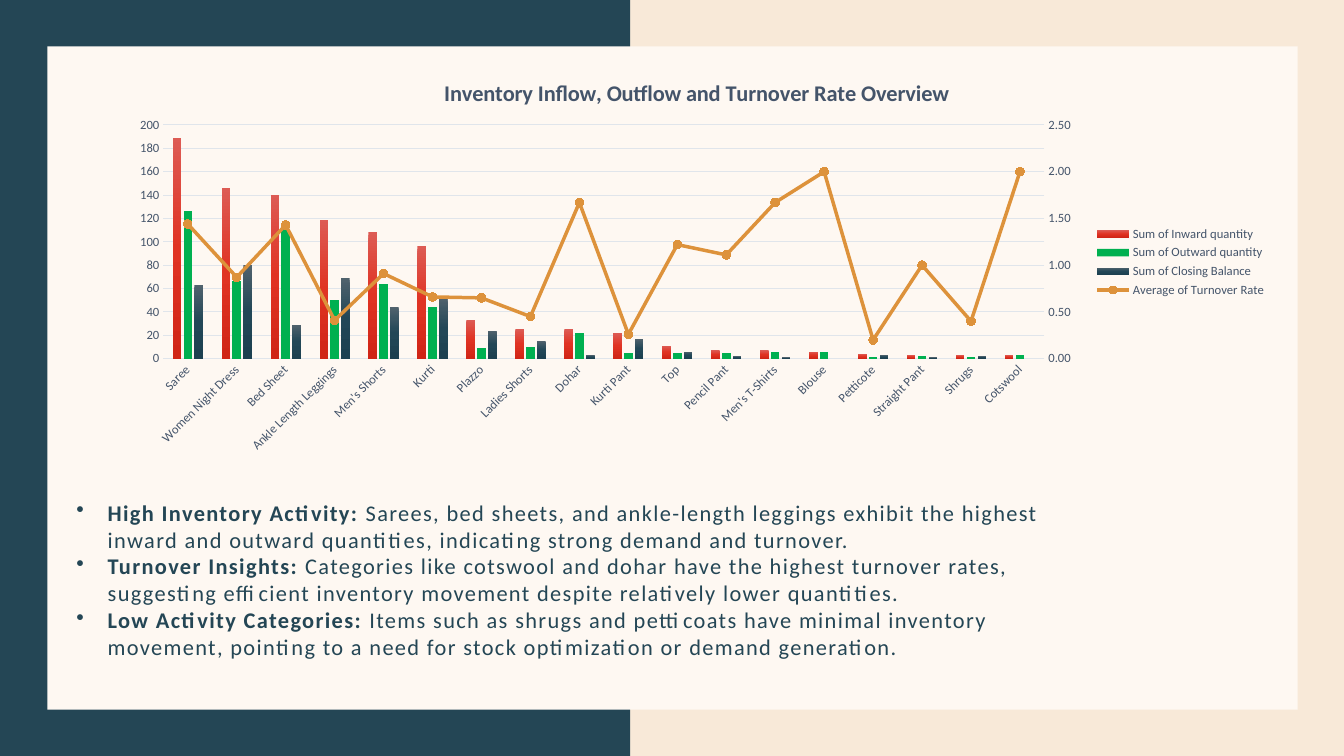
import copy
from dataclasses import dataclass

import pptx
import pptx.chart.axis
import pptx.chart.data
import pptx.dml.color
import pptx.enum.chart
import pptx.enum.shapes
import pptx.enum.text
import pptx.oxml
import pptx.oxml.ns
import pptx.util

Inches = pptx.util.Inches
Pt = pptx.util.Pt
qn = pptx.oxml.ns.qn
rgb = pptx.dml.color.RGBColor.from_string


@dataclass(frozen=True)
class Theme:
    font: str = "Calibri"
    sand: str = "F8E9D8"
    navy: str = "244655"
    cream: str = "FEF8F2"
    slate: str = "44546A"
    grid: str = "E0E5EB"
    inward: tuple = ("DD5B54", "E03323", "D02516")
    outward: tuple = ("00B050",)
    closing: tuple = ("50626D", "224757", "1C4050")
    turnover: str = "DD923B"
    marker: str = "E59333"
    title_size: int = 16
    body_size: int = 16
    label_size: int = 9


theme = Theme()


def style_font(font, size, color, bold=False):
    font.name = theme.font
    font.size = Pt(size)
    font.bold = bold
    font.color.rgb = rgb(color)


categories = [
    "Saree", "Women Night Dress", "Bed Sheet", "Ankle Length Leggings", "Men's Shorts", "Kurti",
    "Plazzo", "Ladies Shorts", "Dohar", "Kurti Pant", "Top", "Pencil Pant", "Men's T-Shirts",
    "Blouse", "Petticote", "Straight Pant", "Shrugs", "Cotswool",
]
quantities = [
    ("Sum of Inward quantity", theme.inward,
     [189, 146, 140, 119, 108, 96, 33, 25, 25, 22, 11, 7, 7, 6, 4, 3, 3, 3]),
    ("Sum of Outward quantity", theme.outward,
     [126, 66, 111, 50, 64, 44, 9, 10, 22, 5, 5, 5, 6, 6, 1, 2, 1, 3]),
    ("Sum of Closing Balance", theme.closing,
     [63, 80, 29, 69, 44, 52, 24, 15, 3, 17, 6, 2, 1, 0, 3, 1, 2, 0]),
]
turnover_rates = [1.44, 0.87, 1.43, 0.41, 0.91, 0.66, 0.65, 0.45, 1.67, 0.26, 1.22, 1.11, 1.67,
                  2, 0.2, 1, 0.4, 2]
insights = [
    ("High Inventory Activity: ",
     "Sarees, bed sheets, and ankle-length leggings exhibit the highest inward and outward "
     "quantities, indicating strong demand and turnover."),
    ("Turnover Insights: ",
     "Categories like cotswool and dohar have the highest turnover rates, suggesting efficient "
     "inventory movement despite relatively lower quantities."),
    ("Low Activity Categories: ",
     "Items such as shrugs and petticoats have minimal inventory movement, pointing to a need "
     "for stock optimization or demand generation."),
]

deck = pptx.Presentation()
deck.slide_width = Inches(13.33)
deck.slide_height = Inches(7.5)
page = deck.slides.add_slide(deck.slide_layouts[6])
page.background.fill.solid()
page.background.fill.fore_color.rgb = rgb(theme.sand)

# Backdrop panels
for left, top, width, height, color in [
    (0, 0, 6.25, 7.5, theme.navy),
    (0.47, 0.46, 12.4, 6.58, theme.cream),
]:
    panel = page.shapes.add_shape(pptx.enum.shapes.MSO_SHAPE.RECTANGLE,
                                  Inches(left), Inches(top), Inches(width), Inches(height))
    panel.shadow.inherit = False
    panel.fill.solid()
    panel.fill.fore_color.rgb = rgb(color)
    panel.line.fill.background()

# Column chart
chart_data = pptx.chart.data.CategoryChartData(number_format="0")
chart_data.categories = categories
for name, _, values in quantities:
    chart_data.add_series(name, values)
chart_data.add_series("Average of Turnover Rate", turnover_rates, number_format="0.00")
chart = page.shapes.add_chart(pptx.enum.chart.XL_CHART_TYPE.COLUMN_CLUSTERED, Inches(1.16),
                              Inches(0.6), Inches(11.5), Inches(4), chart_data).chart
chart.font.name = theme.font
chart.font.size = Pt(10)
chart.has_title = True
title_span = chart.chart_title.text_frame.paragraphs[0].add_run()
title_span.text = "Inventory Inflow, Outflow and Turnover Rate Overview"
style_font(title_span.font, theme.title_size, theme.slate, bold=True)
chart.chart_title.include_in_layout = False
chart.has_legend = True
chart.legend.position = pptx.enum.chart.XL_LEGEND_POSITION.RIGHT
chart.legend.include_in_layout = False
style_font(chart.legend.font, theme.label_size, theme.slate)

columns = chart.plots[0]
columns.gap_width = 219
columns.overlap = -27
columns.vary_by_categories = False
for series, (_, colors, _) in zip(columns.series, quantities):
    series.invert_if_negative = False
    fill = series.format.fill
    if len(colors) == 1:
        fill.solid()
        fill.fore_color.rgb = rgb(colors[0])
        continue
    fill.gradient()
    fill.gradient_angle = 270
    stop_list = next(series._element.iter(qn("a:gsLst")))
    stop_list.append(copy.deepcopy(stop_list[-1]))
    for stop, position, color in zip(fill.gradient_stops, (0, 0.5, 1), colors):
        stop.position = position
        stop.color.rgb = rgb(color)

# Axes
no_tick = pptx.enum.chart.XL_TICK_MARK.NONE
category_axis, quantity_axis = chart.category_axis, chart.value_axis
for axis in (category_axis, quantity_axis):
    axis.major_tick_mark = axis.minor_tick_mark = no_tick
    style_font(axis.tick_labels.font, theme.label_size, theme.slate)
category_axis._element.find(qn("c:txPr")).find(qn("a:bodyPr")).set("rot", "-2700000")
quantity_axis.has_major_gridlines = True
for line in (category_axis.format.line, quantity_axis.major_gridlines.format.line):
    line.color.rgb = rgb(theme.grid)
    line.width = Pt(0.75)
quantity_axis.format.line.fill.background()

# Turnover line on its own axes, derived from the column axes
hidden_element = copy.deepcopy(category_axis._element)
rate_element = copy.deepcopy(quantity_axis._element)
for element, own_id, other_id in [(hidden_element, "5001", "5002"),
                                  (rate_element, "5002", "5001")]:
    element.find(qn("c:axId")).set("val", own_id)
    element.find(qn("c:crossAx")).set("val", other_id)
rate_element.find(qn("c:axPos")).set("val", "r")
rate_element.find(qn("c:crosses")).set("val", "max")
quantity_axis._element.addnext(rate_element)
rate_element.addnext(hidden_element)
pptx.chart.axis.CategoryAxis(hidden_element).visible = False
rate_axis = pptx.chart.axis.ValueAxis(rate_element)
rate_axis.has_major_gridlines = False
for axis, top_value, step, number_format in [(quantity_axis, 200, 20, "0"),
                                             (rate_axis, 2.5, 0.5, "0.00")]:
    axis.minimum_scale = 0
    axis.maximum_scale = top_value
    axis.major_unit = step
    axis.tick_labels.number_format = number_format
    axis.tick_labels.number_format_is_linked = False

namespace = pptx.oxml.ns.nsdecls("c")
line_chart = pptx.oxml.parse_xml(
    f'<c:lineChart {namespace}><c:grouping val="standard"/><c:varyColors val="0"/>'
    '<c:marker val="1"/><c:axId val="5001"/><c:axId val="5002"/></c:lineChart>')
column_chart = columns._element
rate_series = column_chart.findall(qn("c:ser"))[-1]
for column_setting in rate_series.findall(qn("c:invertIfNegative")):
    rate_series.remove(column_setting)
line_chart.insert(2, rate_series)
column_chart.addnext(line_chart)
turnover = chart.plots[1].series[0]
turnover.smooth = False
turnover.format.line.color.rgb = rgb(theme.turnover)
turnover.format.line.width = Pt(2.5)
turnover.marker.style = pptx.enum.chart.XL_MARKER_STYLE.CIRCLE
turnover.marker.size = 6
turnover.marker.format.fill.solid()
turnover.marker.format.fill.fore_color.rgb = rgb(theme.marker)
turnover.marker.format.line.color.rgb = rgb(theme.turnover)

plot_area = column_chart.getparent()
for layout in plot_area.findall(qn("c:layout")):
    plot_area.remove(layout)
plot_area.insert(0, pptx.oxml.parse_xml(
    f'<c:layout {namespace}><c:manualLayout><c:layoutTarget val="inner"/>'
    '<c:xMode val="edge"/><c:yMode val="edge"/><c:x val="0.04"/><c:y val="0.16"/>'
    '<c:w val="0.76"/><c:h val="0.58"/></c:manualLayout></c:layout>'))

# Insights
box = page.shapes.add_textbox(Inches(0.66), Inches(4.9), Inches(10.42), Inches(1.72))
box.text_frame.word_wrap = True
box.text_frame.auto_size = pptx.enum.text.MSO_AUTO_SIZE.SHAPE_TO_FIT_TEXT
for index, (heading, detail) in enumerate(insights):
    para = box.text_frame.paragraphs[0] if index == 0 else box.text_frame.add_paragraph()
    properties = para._p.get_or_add_pPr()
    properties.set("marL", str(Inches(0.31)))
    properties.set("indent", str(Inches(-0.31)))
    properties.append(pptx.oxml.parse_xml(
        f'<a:buChar {pptx.oxml.ns.nsdecls("a")} char="•"/>'))
    for text, bold in ((heading, True), (detail, False)):
        span = para.add_run()
        span.text = text
        style_font(span.font, theme.body_size, theme.navy, bold)
        span._r.get_or_add_rPr().set("spc", "100")

deck.save("out.pptx")
